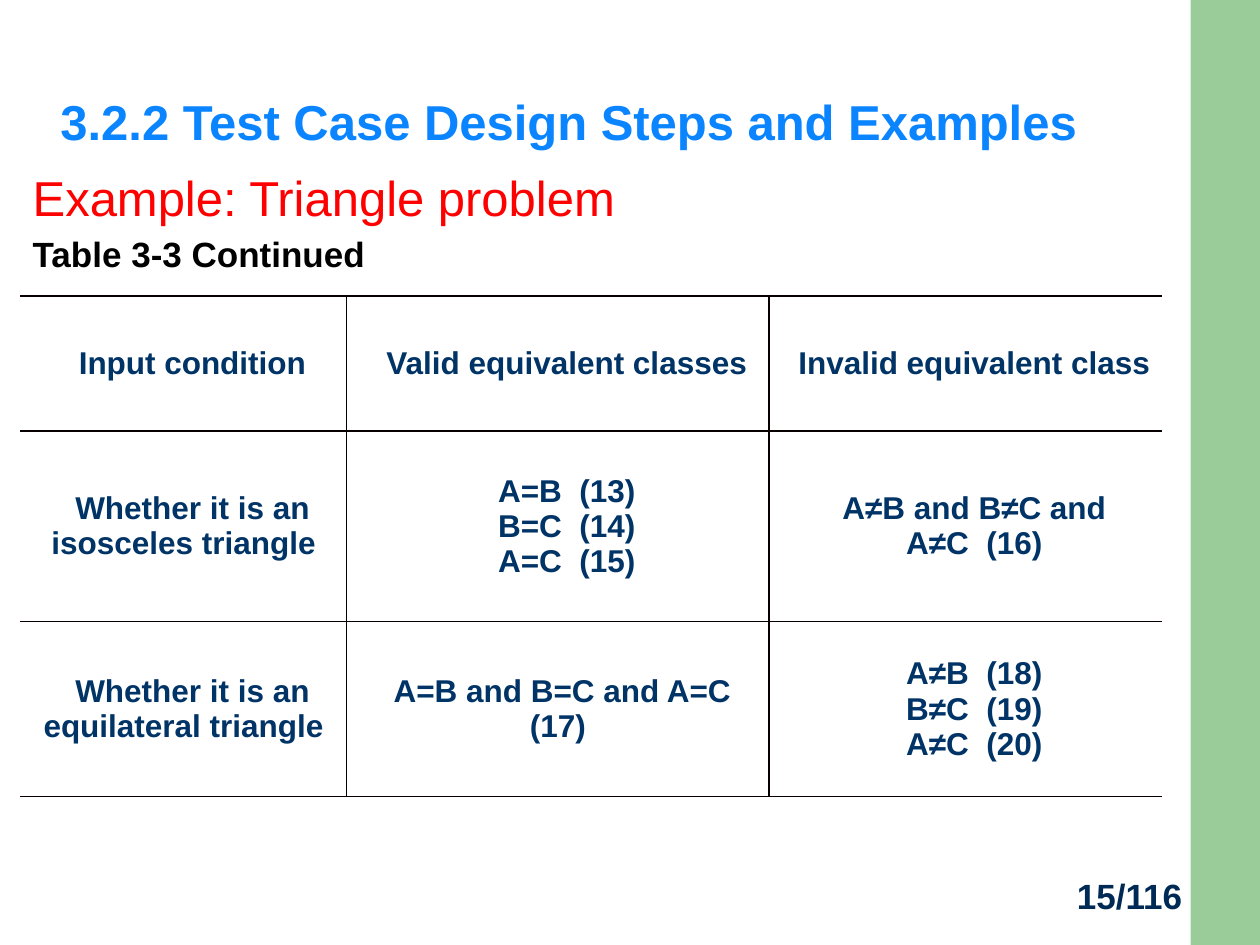
from lxml import etree
from pptx import Presentation
from pptx.dml.color import RGBColor
from pptx.enum.shapes import MSO_SHAPE
from pptx.enum.text import MSO_ANCHOR, PP_ALIGN
from pptx.oxml.ns import qn
from pptx.util import Cm, Pt

RECTANGLE = MSO_SHAPE.RECTANGLE
TOP, MIDDLE, BOTTOM = MSO_ANCHOR.TOP, MSO_ANCHOR.MIDDLE, MSO_ANCHOR.BOTTOM
CENTER = PP_ALIGN.CENTER

THEME = {
    "font": "Arial",
    "band": "99CC99",
    "border": "080000",
    "border_width": Pt(1),
    "title": {"size": 28, "color": "0A85FF", "bold": True},
    "example": {"size": 28, "color": "FF0000", "bold": False},
    "caption": {"size": 20, "color": "000000", "bold": True},
    "cell": {"size": 18, "color": "003366", "bold": True},
    "page": {"size": 20, "color": "002A56", "bold": True},
}

TEXTS = [
    {"box": (0.97, 0.89, 22.45, 2.29), "anchor": BOTTOM, "spacing": 0.9,
     "lines": [("3.2.2 Test Case Design Steps and Examples", "title")]},
    {"box": (0.41, 3.07, 23.34, 15.82), "anchor": TOP, "spacing": 1.15,
     "lines": [("Example: Triangle problem", "example"),
               ("Table 3-3 Continued", "caption")]},
    {"box": (21.46, 17.5, 3.38, 1.27), "anchor": TOP, "spacing": 1.0,
     "lines": [("15/116", "page")]},
]

CLASSES = [
    [["Input condition"], ["Valid equivalent classes"], ["Invalid equivalent class"]],
    [["Whether it is an isosceles triangle"],
     ["A=B  (13)", "B=C  (14)", "A=C  (15)"],
     ["A≠B and B≠C and", "A≠C  (16)"]],
    [["Whether it is an equilateral triangle"],
     ["A=B and B=C and A=C  (17)"],
     ["A≠B  (18)", "B≠C  (19)", "A≠C  (20)"]],
]
TABLE_LEFT, TABLE_TOP = 0.41, 5.97
COLUMN_WIDTHS = [6.58, 8.51, 7.92]
ROW_HEIGHTS = [2.72, 3.84, 3.53]
CELL_FORMAT = {
    "margin_left": Cm(0.18), "margin_right": Cm(0.18),
    "margin_top": 0, "margin_bottom": 0, "vertical_anchor": MIDDLE,
}
FIRST_LINE_INDENT = Cm(0.36)


def add_run(paragraph, text, role):
    run = paragraph.add_run()
    run.text = text
    style = THEME[role]
    font_format = {"name": THEME["font"], "size": Pt(style["size"]), "bold": style["bold"]}
    for attribute, value in font_format.items():
        setattr(run.font, attribute, value)
    run.font.color.rgb = RGBColor.from_string(style["color"])


def add_text(slide, box, anchor, spacing, lines):
    frame = slide.shapes.add_textbox(*map(Cm, box)).text_frame
    frame.word_wrap = True
    frame.vertical_anchor = anchor
    paragraph = frame.paragraphs[0]
    paragraph.line_spacing = spacing
    for index, (text, role) in enumerate(lines):
        if index:
            paragraph.add_line_break()
        add_run(paragraph, text, role)


def set_borders(cell, drawn):
    properties = cell._tc.get_or_add_tcPr()
    for index, side in enumerate("LRTB"):
        line = etree.Element(qn(f"a:ln{side}"))
        if side in drawn:
            line.set("w", str(THEME["border_width"]))
            fill = etree.SubElement(line, qn("a:solidFill"))
            etree.SubElement(fill, qn("a:srgbClr"), val=THEME["border"])
        else:
            etree.SubElement(line, qn("a:noFill"))
        properties.insert(index, line)


def fill_cell(cell, lines, drawn):
    for attribute, value in CELL_FORMAT.items():
        setattr(cell, attribute, value)
    cell.fill.background()
    set_borders(cell, drawn)
    frame = cell.text_frame
    for index, text in enumerate(lines):
        paragraph = frame.add_paragraph() if index else frame.paragraphs[0]
        paragraph.alignment = CENTER
        paragraph._p.get_or_add_pPr().set("indent", str(FIRST_LINE_INDENT))
        add_run(paragraph, text, "cell")


def add_classes_table(slide):
    table = slide.shapes.add_table(
        len(ROW_HEIGHTS), len(COLUMN_WIDTHS), Cm(TABLE_LEFT), Cm(TABLE_TOP),
        Cm(sum(COLUMN_WIDTHS)), Cm(sum(ROW_HEIGHTS))).table
    table.first_row = table.horz_banding = False
    for column, width in zip(table.columns, COLUMN_WIDTHS):
        column.width = Cm(width)
    for row, height in zip(table.rows, ROW_HEIGHTS):
        row.height = Cm(height)
    last = len(COLUMN_WIDTHS) - 1
    for row, conditions in zip(table.rows, CLASSES):
        for index, (cell, lines) in enumerate(zip(row.cells, conditions)):
            drawn = "TB" + ("L" if index else "") + ("R" if index < last else "")
            fill_cell(cell, lines, drawn)


def main():
    deck = Presentation()
    deck.slide_width, deck.slide_height = Cm(25.4), Cm(19.05)
    slide = deck.slides.add_slide(deck.slide_layouts[6])
    band = slide.shapes.add_shape(RECTANGLE, Cm(24), 0, Cm(1.4), deck.slide_height)
    band.shadow.inherit = False
    band.fill.solid()
    band.fill.fore_color.rgb = RGBColor.from_string(THEME["band"])
    band.line.fill.background()
    for text in TEXTS:
        add_text(slide, **text)
    add_classes_table(slide)
    deck.save("out.pptx")


if __name__ == "__main__":
    main()
